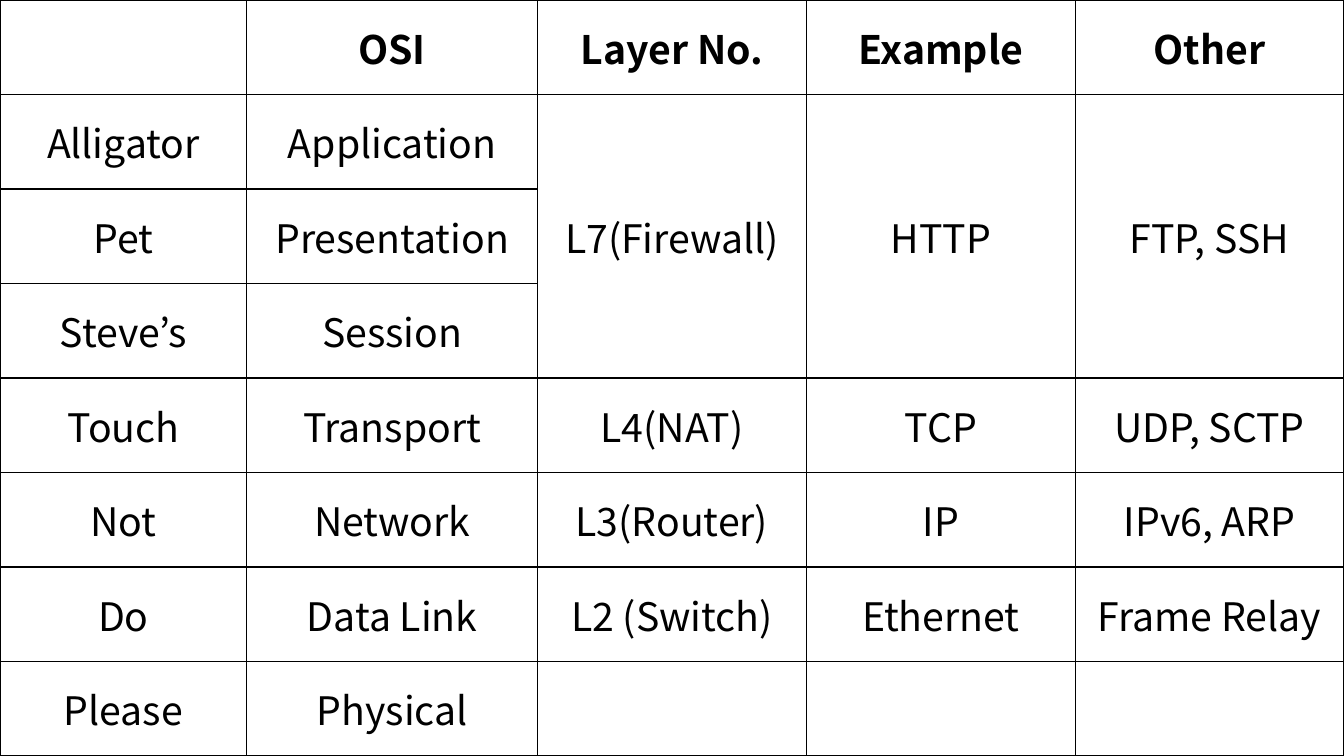
from dataclasses import dataclass
from typing import NamedTuple

from lxml.etree import SubElement
from pptx import Presentation
from pptx.dml.color import RGBColor as Rgb
from pptx.enum.text import MSO_ANCHOR as Anchor, PP_ALIGN as Align
from pptx.oxml.ns import qn
from pptx.table import Table, _Cell as Cell
from pptx.util import Emu, Pt


@dataclass(frozen=True)
class Theme:
    font: str = "Noto Sans CJK KR"
    size: int = 28
    ink: str = "000000"
    paper: str = "FFFFFF"
    line: int = 1


class Row(NamedTuple):
    cue: str
    osi: str
    layer: str = ""
    example: str = ""
    other: str = ""


THEME = Theme()
WIDTHS = (235, 277, 256, 256, 256)
HEIGHT = 90
ROWS = (
    Row("", "OSI", "Layer No.", "Example", "Other"),
    Row("Alligator", "Application", "L7(Firewall)", "HTTP", "FTP, SSH"),
    Row("Pet", "Presentation"),
    Row("Steve’s", "Session"),
    Row("Touch", "Transport", "L4(NAT)", "TCP", "UDP, SCTP"),
    Row("Not", "Network", "L3(Router)", "IP", "IPv6, ARP"),
    Row("Do", "Data Link", "L2 (Switch)", "Ethernet", "Frame Relay"),
    Row("Please", "Physical"),
)
UPPER = (1, 3)  # first and last row of the layers that share L7


def px(count: int) -> Emu:
    return Emu(count * 9525)


def frame(cell: Cell) -> None:
    """Rule all four sides of a cell."""
    props = cell._tc.get_or_add_tcPr()
    for side in ("lnL", "lnR", "lnT", "lnB"):
        line = SubElement(props, qn(f"a:{side}"), w=str(Pt(THEME.line)))
        fill = SubElement(line, qn("a:solidFill"))
        SubElement(fill, qn("a:srgbClr"), val=THEME.ink)


def style(cell: Cell, text: str, bold: bool) -> None:
    frame(cell)
    cell.fill.solid()
    cell.fill.fore_color.rgb = Rgb.from_string(THEME.paper)
    cell.vertical_anchor = Anchor.MIDDLE
    cell.text = text
    para = cell.text_frame.paragraphs[0]
    para.alignment = Align.CENTER
    font = para.font
    font.name, font.size, font.bold = THEME.font, Pt(THEME.size), bold
    font.color.rgb = Rgb.from_string(THEME.ink)


def fill_in(table: Table) -> None:
    table.first_row = table.horz_banding = False
    for column, width in zip(table.columns, WIDTHS):
        column.width = px(width)
    for top, row in enumerate(ROWS):
        table.rows[top].height = px(HEIGHT)
        for left, text in enumerate(row):
            style(table.cell(top, left), text, bold=top == 0)
    first, last = UPPER
    for name in ("layer", "example", "other"):
        left = Row._fields.index(name)
        table.cell(first, left).merge(table.cell(last, left))


def main() -> None:
    deck = Presentation()
    wide, high = px(sum(WIDTHS)), px(HEIGHT * len(ROWS))
    deck.slide_width, deck.slide_height = wide, high
    slide = deck.slides.add_slide(deck.slide_layouts[6])
    grid = slide.shapes.add_table(len(ROWS), len(WIDTHS), 0, 0, wide, high)
    fill_in(grid.table)
    deck.save("out.pptx")


if __name__ == "__main__":
    main()
